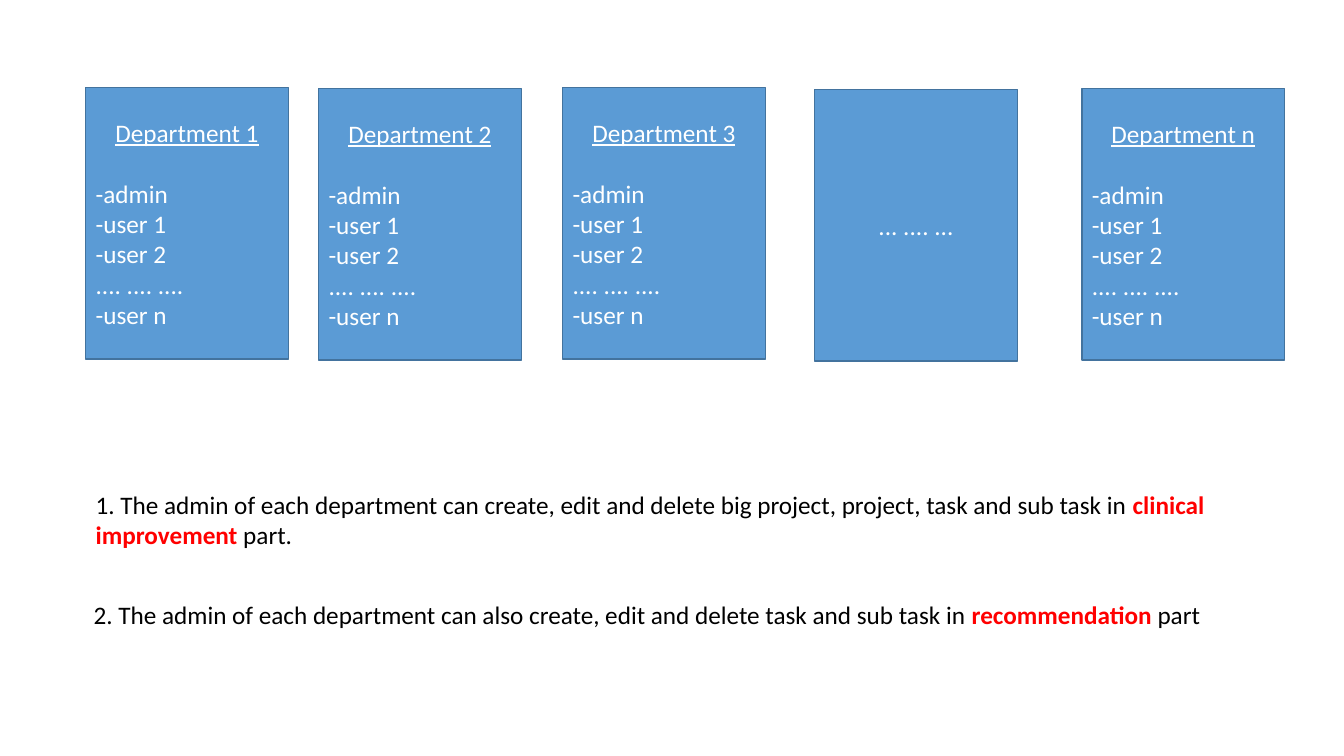
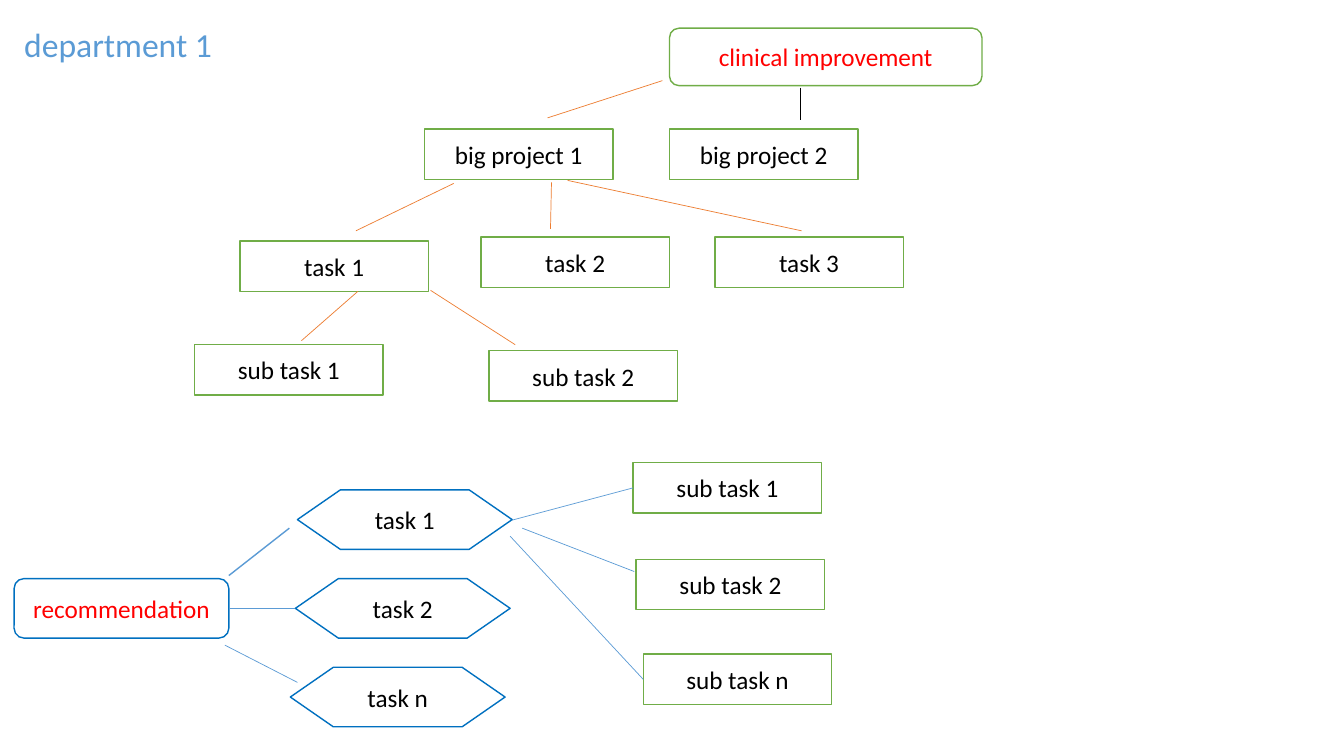
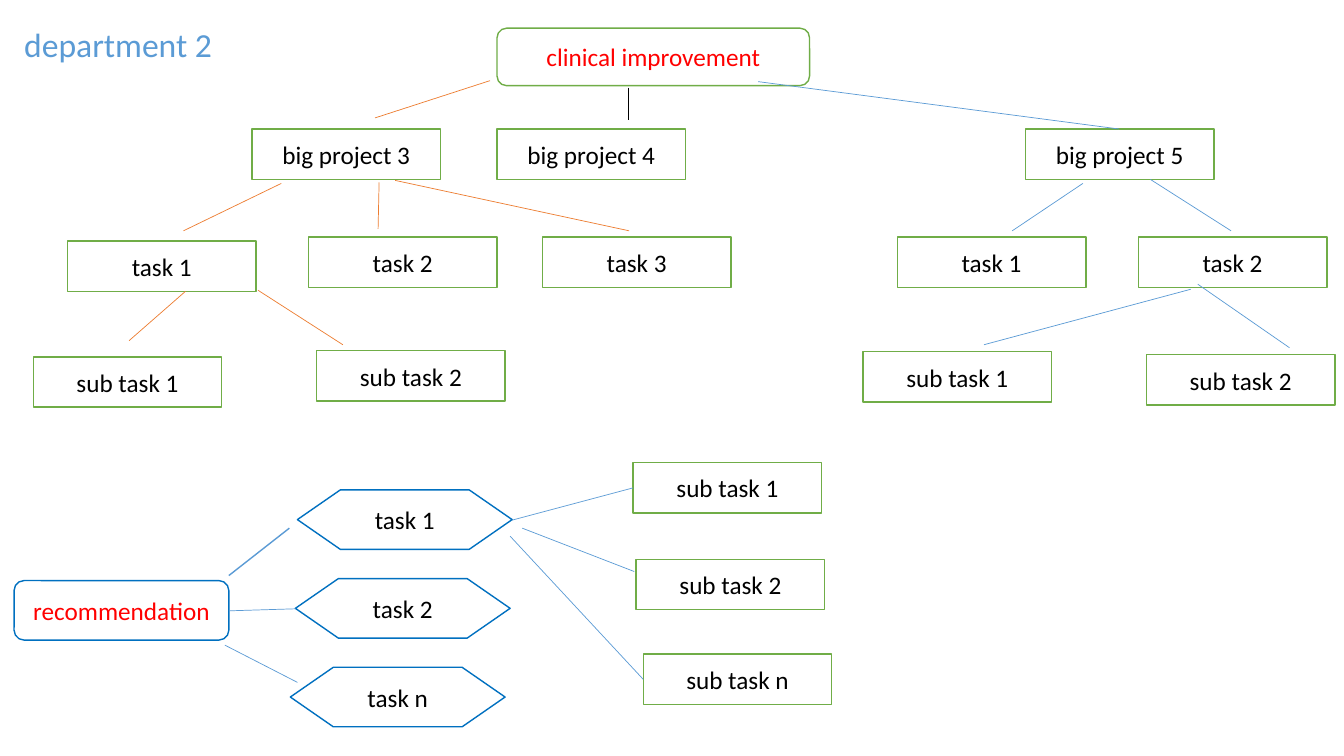
"""Build three slides on departments, their projects and their tasks."""
from pptx import Presentation
from pptx.dml.color import RGBColor
from pptx.enum import shapes, text
from pptx.oxml.ns import qn
from pptx.util import Inches, Pt
from lxml import etree

FONT = "Calibri"
WHITE, BLACK, RED = "FFFFFF", "000000", "FF0000"
SKY, STEEL, BLUE, GREEN, ORANGE = "5B9BD5", "43739E", "0070C0", "70AD47", "ED7D31"
RECT = shapes.MSO_SHAPE.RECTANGLE
ROUND = shapes.MSO_SHAPE.ROUNDED_RECTANGLE
HEXAGON = shapes.MSO_SHAPE.FLOWCHART_PREPARATION
LEFT, CENTER = text.PP_ALIGN.LEFT, text.PP_ALIGN.CENTER
TOP, MIDDLE = text.MSO_ANCHOR.TOP, text.MSO_ANCHOR.MIDDLE

CARD, NODE, ROOT, STEP = (2.01, 2.69), (1.87, 0.5), (3.1, 0.57), (2.13, 0.59)

MEMBERS = ["-admin", "-user 1", "-user 2", ".... .... ....", "-user n"]
DEPARTMENTS = [
    ("Department 1", 0.85, 0.87),
    ("Department 2", 3.16, 0.88),
    ("Department 3", 5.58, 0.87),
    (None, 8.08, 0.89),
    ("Department n", 10.73, 0.88),
]
RULES = [
    (0.85, 4.8, 0.71,
     "1. The admin of each department can create, edit and delete big project, "
     "project, task and sub task in ", "clinical improvement", " part."),
    (0.83, 5.9, 0.4,
     "2. The admin of each department can also create, edit and delete task and "
     "sub task in ", "recommendation ", "part"),
]

TREE_NODES = [
    ("task 1", 2.38, 2.39), ("task 2", 4.77, 2.35), ("task 3", 7.09, 2.35),
    ("sub task 2", 4.85, 3.48),
]
TREE_LINKS = [
    (6.57, 0.8, 5.43, 1.17, ORANGE), (7.94, 0.87, 7.94, 1.19, BLACK),
    (4.5, 1.82, 3.53, 2.29, ORANGE), (5.47, 1.81, 5.46, 2.27, ORANGE),
    (5.63, 1.79, 7.95, 2.29, ORANGE), (3.55, 2.89, 2.99, 3.38, ORANGE),
    (4.27, 2.88, 5.11, 3.42, ORANGE),
]
BRANCH_NODES = [
    ("big project 5", 10.17, 1.28), ("task 1", 8.9, 2.35), ("task 2", 11.29, 2.35),
    ("sub task 1", 8.56, 3.49), ("sub task 2", 11.37, 3.52),
]
BRANCH_LINKS = [
    (7.52, 0.81, 11.1, 1.28), (10.74, 1.82, 10.04, 2.29), (11.41, 1.78, 12.21, 2.29),
    (11.81, 2.87, 9.76, 3.42), (11.88, 2.82, 12.79, 3.45),
]
STEPS = [("task 1", 2.95, 4.86), ("task 2", 2.93, 5.74), ("task n", 2.88, 6.62)]
STEP_NODES = [("sub task 1", 6.28, 4.59), ("sub task 2", 6.31, 5.55), ("sub task n", 6.38, 6.49)]
STEP_LINKS = [
    (2.23, 6.4, 2.95, 6.77), (5.08, 5.16, 6.28, 4.84),
    (5.18, 5.24, 6.29, 5.67), (5.06, 5.32, 6.38, 6.74),
]
PLANS = [
    {"title": "department 1", "projects": ["big project 1", "big project 2"], "shift": 0,
     "first_sub": (1.93, 3.42), "recommendation_y": 5.74, "nodes": [], "links": []},
    {"title": "department 2", "projects": ["big project 3", "big project 4"], "shift": -1.71,
     "first_sub": (0.33, 3.54), "recommendation_y": 5.76,
     "nodes": BRANCH_NODES, "links": BRANCH_LINKS},
]


def color(value):
    return RGBColor.from_string(value)


def place(sp, x, y, w, h):
    sp.left, sp.top, sp.width, sp.height = (Inches(v) for v in (x, y, w, h))


def add_run(p, words, ink, size=18, bold=False, underline=False):
    r = p.add_run()
    r.text = words
    r.font.name, r.font.size = FONT, Pt(size)
    r.font.bold, r.font.underline = bold, underline
    r.font.color.rgb = color(ink)


def add_box(s, kind, x, y, size, fill, line):
    sp = s.shapes.add_shape(kind, *(Inches(v) for v in (x, y, *size)))
    sp.shadow.inherit = False
    sp.fill.solid()
    sp.fill.fore_color.rgb = color(fill)
    sp.line.color.rgb = color(line)
    sp.line.width = Pt(1)
    tf = sp.text_frame
    tf.word_wrap = True
    tf.vertical_anchor = MIDDLE
    tf.paragraphs[0].alignment = CENTER
    return tf


def add_node(s, words, x, y, size=NODE, kind=RECT, line=GREEN, ink=BLACK):
    tf = add_box(s, kind, x, y, size, WHITE, line)
    add_run(tf.paragraphs[0], words, ink)


def add_link(s, x1, y1, x2, y2, ink=SKY, width=0.5):
    ends = (Inches(v) for v in (x1, y1, x2, y2))
    link = s.shapes.add_connector(shapes.MSO_CONNECTOR.STRAIGHT, *ends)
    link.line.color.rgb = color(ink)
    link.line.width = Pt(width)
    etree.SubElement(link._element.spPr, qn("a:effectLst"))


def add_title(s, words):
    sp = s.shapes.title
    place(sp, 0.14, 0.19, 5.1, 0.5)
    tf = sp.text_frame
    tf.auto_size = text.MSO_AUTO_SIZE.NONE
    tf.vertical_anchor = TOP
    tf.paragraphs[0].alignment = LEFT
    add_run(tf.paragraphs[0], words, SKY, size=24)


def add_department(s, name, x, y):
    tf = add_box(s, RECT, x, y, CARD, SKY, STEEL)
    p = tf.paragraphs[0]
    if name is None:
        add_run(p, "... .... ...", WHITE)
        return
    add_run(p, name, WHITE, underline=True)
    p.space_after = Pt(22)
    for member in MEMBERS:
        p = tf.add_paragraph()
        p.alignment = LEFT
        add_run(p, member, WHITE)


def add_rule(s, x, y, h, before, part, after):
    tf = s.shapes.add_textbox(*(Inches(v) for v in (x, y, 11.68, h))).text_frame
    tf.word_wrap = True
    p = tf.paragraphs[0]
    add_run(p, before, BLACK)
    add_run(p, part, RED, bold=True)
    add_run(p, after, BLACK)


def add_improvement(s, plan):
    dx = plan["shift"]
    add_node(s, "clinical improvement", 6.64 + dx, 0.28, ROOT, ROUND, ink=RED)
    for name, x in zip(plan["projects"], (4.21, 6.64)):
        add_node(s, name, x + dx, 1.28)
    for name, x, y in TREE_NODES:
        add_node(s, name, x + dx, y)
    add_node(s, "sub task 1", *plan["first_sub"])
    for node in plan["nodes"]:
        add_node(s, *node)
    for x1, y1, x2, y2, ink in TREE_LINKS:
        add_link(s, x1 + dx, y1, x2 + dx, y2, ink)
    for link in plan["links"]:
        add_link(s, *link)


def add_recommendation(s, y):
    add_node(s, "recommendation", 0.14, y, STEP, ROUND, BLUE, RED)
    for step in STEPS:
        add_node(s, *step, STEP, HEXAGON, BLUE)
    for node in STEP_NODES:
        add_node(s, *node)
    add_link(s, 2.27, 5.71, 2.87, 5.24, width=1)
    add_link(s, 2.27, y + 0.3, 2.93, 6.04)
    for link in STEP_LINKS:
        add_link(s, *link)


prs = Presentation()
prs.slide_width, prs.slide_height = Inches(13.33), Inches(7.5)
title_only, blank = prs.slide_layouts[5], prs.slide_layouts[6]

s = prs.slides.add_slide(blank)
for department in DEPARTMENTS:
    add_department(s, *department)
for rule in RULES:
    add_rule(s, *rule)

for plan in PLANS:
    s = prs.slides.add_slide(title_only)
    add_title(s, plan["title"])
    add_improvement(s, plan)
    add_recommendation(s, plan["recommendation_y"])

prs.save("out.pptx")
